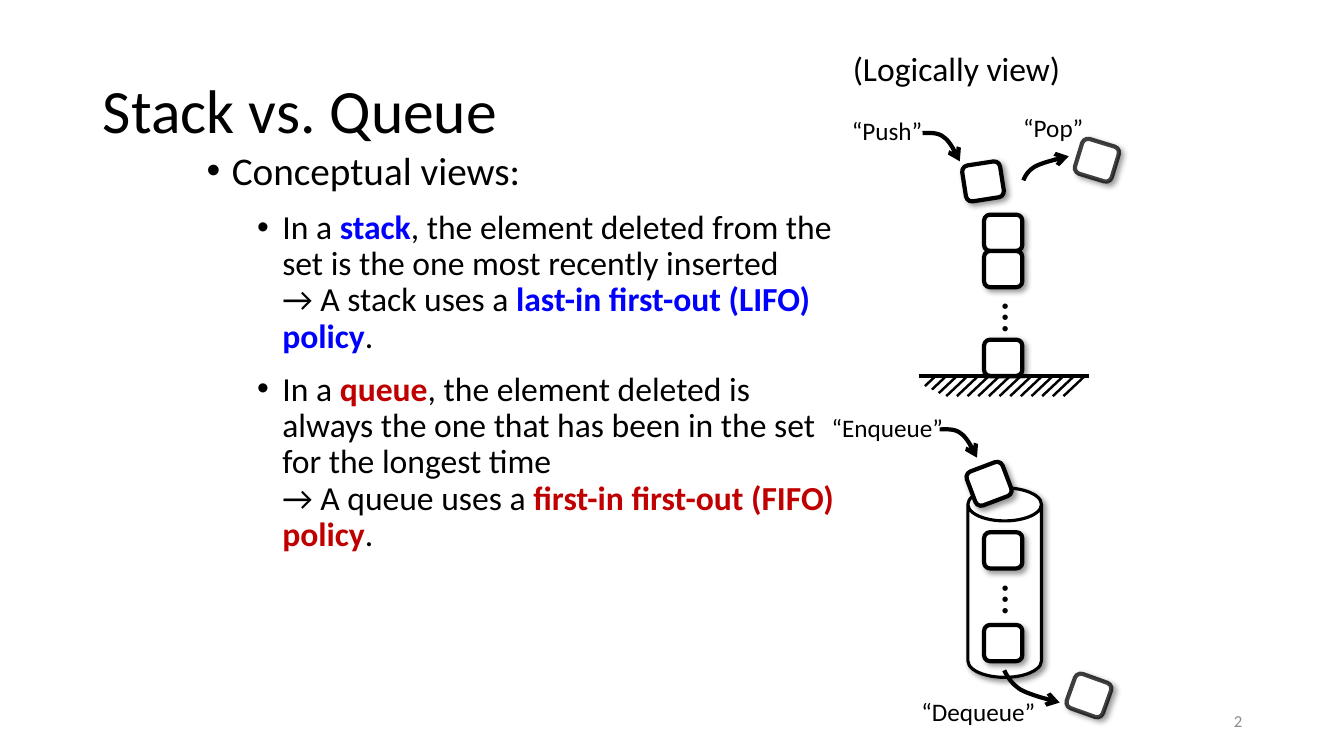
"""Build the slide that compares a stack with a queue."""
from lxml.etree import SubElement as Sub
from pptx import Presentation
from pptx.dml.color import RGBColor
from pptx.enum.shapes import MSO_CONNECTOR as Conn, MSO_SHAPE as Kind
from pptx.enum.text import MSO_ANCHOR as Anchor, MSO_AUTO_SIZE as Auto, PP_ALIGN as Align
from pptx.oxml.ns import qn
from pptx.util import Inches, Pt

hue = RGBColor.from_string


def ink(shape, width, fill=None):
    """Set the outline, and for a filled shape the fill and soft shadow."""
    shape.line.color.rgb = hue("000000")
    shape.line.width = Pt(width)
    if fill:
        shape.fill.solid()
        shape.fill.fore_color.rgb = hue(fill)
    glow = Sub(shape._element.spPr, qn("a:effectLst"))
    if fill:
        cast = Sub(glow, qn("a:outerShdw"), blurRad=str(Pt(4)), dist=str(Pt(3)),
                   dir="2700000", algn="tl", rotWithShape="0")
        tint = Sub(cast, qn("a:srgbClr"), val="000000")
        Sub(tint, qn("a:alpha"), val="40000")


def rule(x1, y1, x2, y2, width):
    """Draw a straight black line."""
    line = shapes.add_connector(Conn.STRAIGHT, *map(Inches, (x1, y1, x2, y2)))
    ink(line, width)


deck = Presentation()
deck.slide_width, deck.slide_height = Inches(13.33), Inches(7.5)
slide = deck.slides.add_slide(deck.slide_layouts[1])
shapes = slide.shapes

can = shapes.add_shape(Kind.CAN, *map(Inches, (9.6, 4.84, 0.73, 1.88)))
can.adjustments[0] = 0.449
ink(can, 2.25, "FFFFFF")

title, body = shapes.title, slide.placeholders[1]
for holder, box in ((title, (0.92, 0.4, 11.5, 1.45)), (body, (1.95, 1.45, 6.48, 5.7))):
    holder.left, holder.top, holder.width, holder.height = map(Inches, box)
    holder.text_frame.auto_size = Auto.NONE
title.text_frame.vertical_anchor = Anchor.MIDDLE
title.text_frame.text = "Stack vs. Queue"
head = title.text_frame.paragraphs[0]
head.alignment = Align.LEFT
head.line_spacing = 0.9
head.font.name, head.font.size = "Calibri", Pt(44)
head.font.color.rgb = hue("000000")

BLUE, RED = "0000FF", "C00000"
points = [
    (0, 28, [("Conceptual views:", None)]),
    (1, 24, [("In a ", None), ("stack", BLUE),
             (", the element deleted from the set is the one most recently inserted\n"
              "→ A stack uses a ", None),
             ("last-in first-out (LIFO) policy", BLUE), (".", None)]),
    (1, 24, [("In a ", None), ("queue", RED),
             (", the element deleted is always the one that has been in the set"
              " for the longest time\n→ A queue uses a ", None),
             ("first-in first-out (FIFO) policy", RED), (".", None)]),
]
for i, (level, size, runs) in enumerate(points):
    frame = body.text_frame
    para = frame.add_paragraph() if i else frame.paragraphs[0]
    para.level = level
    para.line_spacing, para.space_before = 0.9, Pt(12)
    para.font.name, para.font.size = "Calibri", Pt(size)
    para.font.color.rgb = hue("000000")
    props = para._p.get_or_add_pPr()
    props.set("marL", str(Inches(0.25 + 0.5 * level)))
    props.set("indent", str(Inches(-0.25)))
    mark = props.makeelement(qn("a:buChar"), {"char": "•"})
    props.find(qn("a:defRPr")).addprevious(mark)
    for text, color in runs:
        for j, part in enumerate(text.split("\n")):
            if j:
                para.add_line_break()
            run = para.add_run()
            run.text = part
            if color:
                run.font.bold = True
                run.font.color.rgb = hue(color)

blocks = [
    (9.76, 2.13, 0), (9.76, 2.49, 0), (9.76, 3.37, 0), (9.76, 5.28, 0), (9.76, 6.2, 0),
    (9.56, 1.62, -8.8), (9.62, 4.62, -20.7), (10.69, 1.41, 17), (10.61, 6.72, 19.7),
]
for x, y, turn in blocks:
    block = shapes.add_shape(Kind.ROUNDED_RECTANGLE, *map(Inches, (x, y, 0.38, 0.36)))
    block.rotation = turn
    ink(block, 3, "FFFFFF")
    if turn > 0:
        shade = block._element.spPr.find(".//" + qn("a:ln") + "//" + qn("a:srgbClr"))
        Sub(shade, qn("a:alpha"), val="75000")

floor = shapes.add_shape(Kind.RECTANGLE, *map(Inches, (9.48, 3.76, 0.89, 0.11)))
floor.fill.solid()
floor.fill.fore_color.rgb = hue("FFFFFF")
floor.line.fill.background()
floor.shadow.inherit = False
rule(9.11, 3.73, 10.8, 3.73, 3)
for i in range(15):
    x, drop = 9.28 + 1.48 * i / 14, min(0.2, 0.1 + 0.035 * i)
    rule(x, 3.73, x - 1.06 * drop, 3.73 + drop, 1.75)

push = [(9.15, 1.32), (9.22, 1.32), (9.3, 1.31), (9.36, 1.36),
        (9.42, 1.4), (9.47, 1.5), (9.52, 1.6)]
pop = [(10.15, 1.79), (10.17, 1.74), (10.2, 1.69), (10.27, 1.65),
       (10.35, 1.61), (10.48, 1.58), (10.6, 1.55)]
enter = [(x + 0.17, y + 2.94) for x, y in push]
leave = [(9.96, 6.65), (9.99, 6.71), (10.03, 6.78), (10.12, 6.84),
         (10.21, 6.89), (10.36, 6.93), (10.51, 6.97)]
for knots in (push, pop, enter, leave):
    trail = []
    for k in (0, 3):
        for step in range(1, 11):
            t = step / 10
            mix = ((1 - t) ** 3, 3 * t * (1 - t) ** 2, 3 * t * t * (1 - t), t ** 3)
            trail.append(tuple(Inches(sum(m * p[axis] for m, p in zip(mix, knots[k:k + 4])))
                               for axis in (0, 1)))
    pen = shapes.build_freeform(*map(Inches, knots[0]))
    pen.add_line_segments(trail, close=False)
    arrow = pen.convert_to_shape()
    arrow.fill.background()
    ink(arrow, 3)
    Sub(arrow._element.spPr.find(qn("a:ln")), qn("a:tailEnd"), type="arrow")

labels = [
    ("(Logically view)", 8.36, 0.43, 2.35, 0.5, 24),
    ("“Push”", 8.35, 1.09, 0.91, 0.4, 18),
    ("“Pop”", 10.05, 1.07, 0.8, 0.4, 18),
    ("“Enqueue”", 8.15, 4.04, 1.32, 0.4, 18),
    ("“Dequeue”", 9.04, 6.86, 1.35, 0.4, 18),
    ("…", 9.7, 2.9, 0.74, 0.41, 32),
    ("…", 9.7, 5.7, 0.74, 0.41, 32),
    ("2", 9.42, 6.95, 3, 0.4, 12),
]
for text, x, y, w, h, size in labels:
    frame = shapes.add_textbox(*map(Inches, (x, y, w, h))).text_frame
    frame.text = text
    para = frame.paragraphs[0]
    para.font.name, para.font.size = "Calibri", Pt(size)
    para.font.color.rgb = hue("8C8C8C" if text == "2" else "000000")
    if text == "2":
        frame.word_wrap = True
        frame.vertical_anchor = Anchor.MIDDLE
        para.alignment = Align.RIGHT
    else:
        frame.word_wrap = False
        frame.auto_size = Auto.SHAPE_TO_FIT_TEXT
    if text == "…":
        frame._txBody.bodyPr.set("vert", "eaVert")

deck.save("out.pptx")
